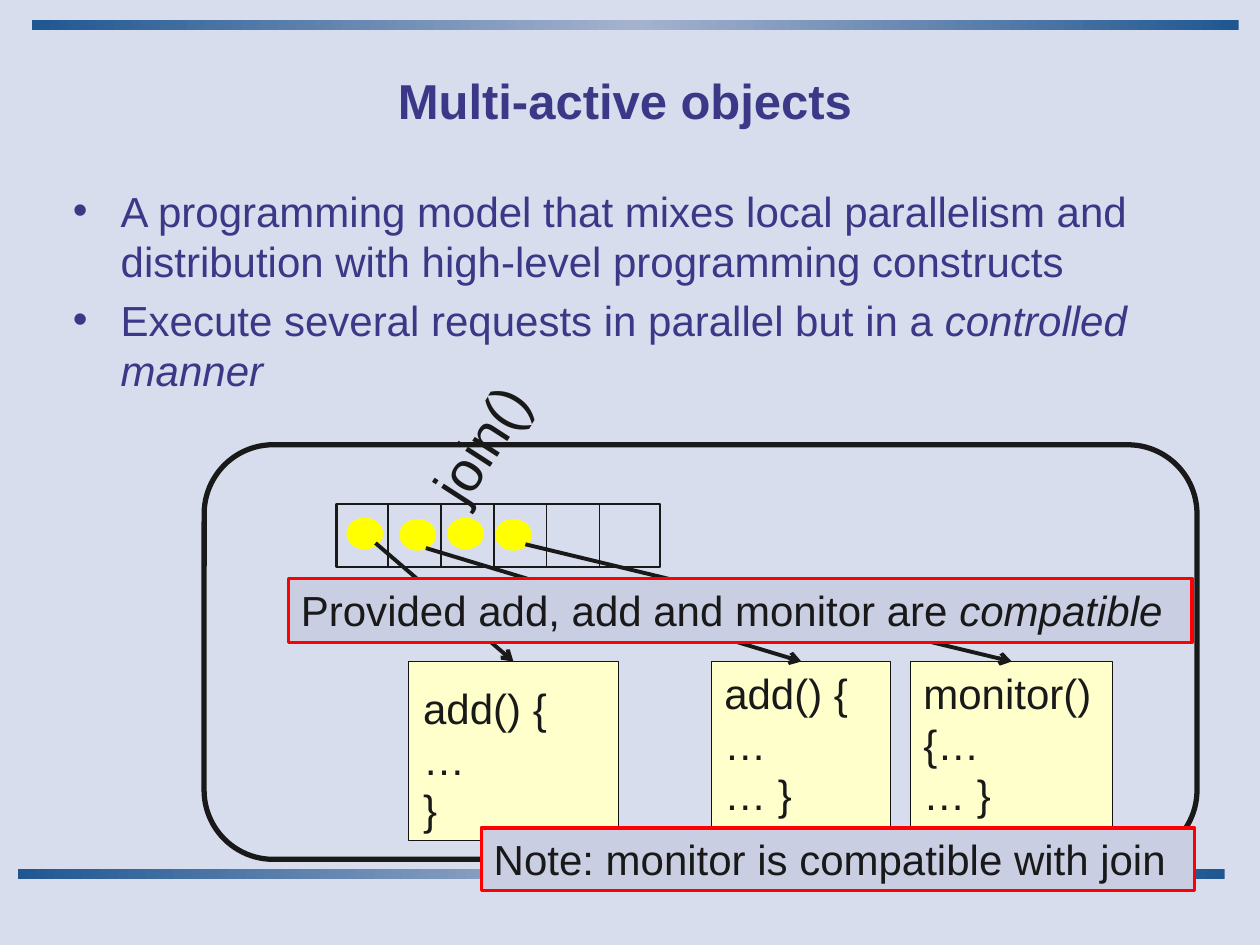
from copy import deepcopy
from pptx import Presentation
from pptx.dml.color import RGBColor
from pptx.enum import shapes, text
from pptx.oxml import parse_xml
from pptx.oxml.ns import nsdecls, qn
from pptx.util import Inches, Pt

INK = "191919"
BLUE = "3B3887"
RECT = shapes.MSO_SHAPE.RECTANGLE
OVAL = shapes.MSO_SHAPE.OVAL
ROUND = shapes.MSO_SHAPE.ROUNDED_RECTANGLE


def paint(part, color):
    part.solid()
    part.fore_color.rgb = RGBColor.from_string(color)


def write(shape, paras, size=24, color=INK, wrap=False):
    frame = shape.text_frame
    frame.word_wrap = wrap
    if not wrap:
        frame.auto_size = text.MSO_AUTO_SIZE.SHAPE_TO_FIT_TEXT
    frame.vertical_anchor = text.MSO_ANCHOR.TOP
    for i, runs in enumerate(paras):
        para = frame.add_paragraph() if i else frame.paragraphs[0]
        para.alignment = text.PP_ALIGN.LEFT
        for words, slant in runs:
            run = para.add_run()
            run.text = words
            run.font.name = "Arial"
            run.font.size = Pt(size)
            run.font.italic = slant
            paint(run.font.fill, color)
    return frame


deck = Presentation()
deck.slide_width = Inches(10)
deck.slide_height = Inches(7.5)
slide = deck.slides.add_slide(deck.slide_layouts[6])
paint(slide.background.fill, "D8DDED")
tree = slide.shapes

for x, y in [(0.25, 0.16), (0.14, 6.9)]:
    bar = tree.add_shape(RECT, Inches(x), Inches(y), Inches(9.58), Inches(0.08))
    bar.shadow.inherit = False
    bar.line.fill.background()
    bar.fill.gradient()
    bar.fill.gradient_angle = 0
    first = bar._element.spPr.find(".//" + qn("a:gs"))
    first.addnext(deepcopy(first))
    tones = ["205791", "A4B2CE", "205791"]
    for stop, tone, pos in zip(bar.fill.gradient_stops, tones, [0, 0.5, 1]):
        stop.color.rgb = RGBColor.from_string(tone)
        stop.position = pos

title = tree.add_textbox(Inches(0.44), Inches(0.33), Inches(9.04), Inches(0.92))
frame = write(title, [[("Multi-active objects", False)]], 28, BLUE, True)
frame.vertical_anchor = text.MSO_ANCHOR.MIDDLE
frame.paragraphs[0].alignment = text.PP_ALIGN.CENTER
frame.paragraphs[0].runs[0].font.bold = True

body = tree.add_textbox(Inches(0.48), Inches(1.42), Inches(9.02), Inches(5.5))
points = [
    [("A programming model that mixes local parallelism and distribution "
      "with high-level programming constructs", False)],
    [("Execute several requests in parallel but in a ", False),
     ("controlled manner", True)],
]
frame = write(body, points, 24, BLUE, True)
for para in frame.paragraphs:
    para.space_before = Pt(4.8)
    props = para._p.get_or_add_pPr()
    props.set("marL", str(Inches(0.38)))
    props.set("indent", str(Inches(-0.38)))
    props.append(parse_xml(f'<a:buFont {nsdecls("a")} typeface="Arial"/>'))
    props.append(parse_xml(f'<a:buChar {nsdecls("a")} char="•"/>'))

blocks = {}
for key, kind, x, y, w, h, fill, line, width in [
    ("queue", RECT, 2.67, 4, 2.57, 0.5, None, INK, 1.5),
    ("left", RECT, 3.24, 5.25, 1.67, 1.42, "FFFFCC", "141414", 0.5),
    ("mid", RECT, 5.65, 5.25, 1.42, 1.42, "FFFFCC", "141414", 0.5),
    ("right", RECT, 7.23, 5.25, 1.6, 1.42, "FFFFCC", "141414", 0.5),
    ("dot1", OVAL, 2.77, 4.13, 0.25, 0.21, "FFFF00", "FFFF00", 3),
    ("dot2", OVAL, 3.19, 4.14, 0.25, 0.21, "FFFF00", "FFFF00", 3),
    ("dot3", OVAL, 3.57, 4.13, 0.25, 0.21, "FFFF00", "FFFF00", 3),
    ("dot4", OVAL, 3.95, 4.14, 0.25, 0.21, "FFFF00", "FFFF00", 3),
    ("claim", RECT, 2.29, 4.59, 7.17, 0.51, "C9CEE2", "FF0000", 2),
    ("object", ROUND, 1.62, 3.53, 7.88, 3.29, None, INK, 3),
    ("remark", RECT, 3.82, 6.57, 5.66, 0.5, "C9CEE2", "FF0000", 2),
]:
    block = tree.add_shape(kind, Inches(x), Inches(y), Inches(w), Inches(h))
    block.shadow.inherit = False
    if fill:
        paint(block.fill, fill)
    else:
        block.fill.background()
    paint(block.line.fill, line)
    block.line.width = Pt(width)
    blocks[key] = block

write(blocks["mid"], [[("add() {", False)], [("…", False)], [("… }", False)]], wrap=True)
write(blocks["right"], [[("monitor(){…", False)], [("… }", False)]], wrap=True)
write(blocks["claim"], [[("Provided add, add and monitor are ", False),
                         ("compatible", True)]])
write(blocks["remark"], [[("Note: monitor is compatible with join", False)]])

links = [(3.08 + 0.42 * i, 4, 3.08 + 0.42 * i, 4.5, 0.75, None) for i in range(5)]
links += [
    (2.98, 4.31, 4.08, 5.25, 2.25, "left"),
    (3.38, 4.35, 6.36, 5.25, 2.25, "mid"),
    (4.17, 4.32, 8.03, 5.25, 2.25, "right"),
]
for x, y, r, b, width, goal in links:
    link = tree.add_connector(shapes.MSO_CONNECTOR.STRAIGHT,
                              Inches(x), Inches(y), Inches(r), Inches(b))
    paint(link.line.fill, INK)
    link.line.width = Pt(width)
    link._element.spPr.append(parse_xml(f'<a:effectLst {nsdecls("a")}/>'))
    if goal:
        link.end_connect(blocks[goal], 0)
        link.line._get_or_add_ln().append(
            parse_xml(f'<a:tailEnd {nsdecls("a")} type="arrow"/>'))

code = tree.add_textbox(Inches(3.26), Inches(5.37), Inches(1.19), Inches(1.31))
write(code, [[("add() {", False)], [("…", False)], [("}", False)]])
join = tree.add_textbox(Inches(3.21), Inches(3.18), Inches(1.23), Inches(0.64))
write(join, [[("join()", False)]], 32)
join.rotation = 302.9

for block in [blocks["claim"], join, blocks["object"], blocks["remark"]]:
    tree._spTree.append(block._element)

deck.save("out.pptx")
